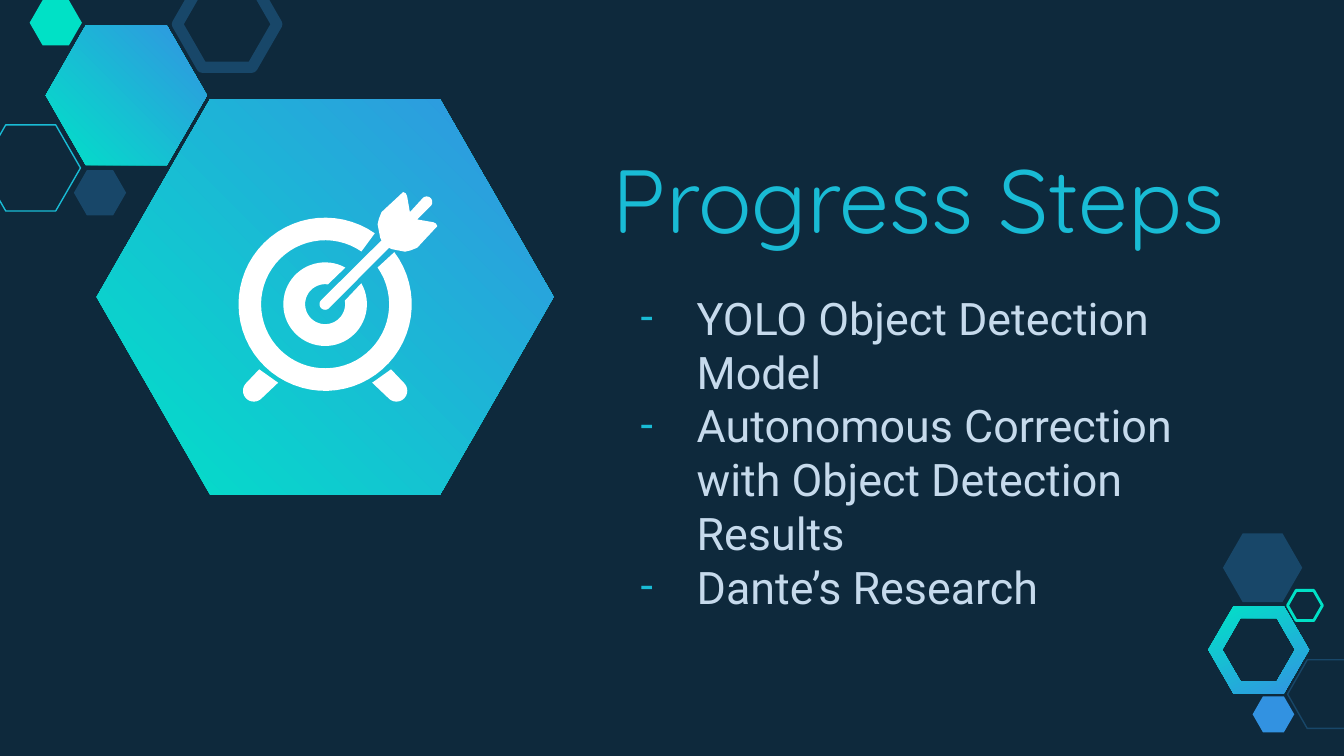
from math import cos, radians, sin

from lxml.etree import SubElement
from pptx import Presentation
from pptx.dml.color import RGBColor
from pptx.enum.shapes import MSO_SHAPE
from pptx.enum.text import MSO_ANCHOR, MSO_AUTO_SIZE, PP_ALIGN
from pptx.oxml.ns import qn
from pptx.util import Pt

TITLE = "Progress Steps"
STEPS = [
    "YOLO Object Detection Model",
    "Autonomous Correction with Object Detection Results",
    "Dante’s Research",
]

THEME = {
    "bg": "0E293C", "teal": "19BBD5", "navy": "184769", "mint": "00E1C6",
    "blue": "3292E1", "body": "C6DAEC", "icon": "FFFFFF",
    "gradient": ("00E2C7", "3393E2"),
    "title_font": "Quicksand", "title_size": 48,
    "body_font": "Roboto", "body_size": 24,
}

# centre x, centre y, width, colour, line width (None: filled)
HEXAGONS = [
    (16.5, 90, 53.3, "teal", 0.75),
    (53.6, 103.3, 28, "navy", None),
    (121.7, 13, 53.3, "navy", 6),
    (29.9, 12.2, 28, "mint", None),
    (711, 371.9, 42.5, "navy", 0.75),
    (682.2, 382.7, 22.3, "blue", None),
    (676.4, 304.2, 42.5, "navy", None),
    (699.1, 324.4, 18.7, "mint", 1.5),
]
GRADIENT_HEXAGONS = [(67.7, 51.1, 86.4), (174.2, 159.1, 244.8)]
HEX_RING = (674.3, 348.1, 54, 39)  # centre, outer width, inner width

TARGET = (174.2, 163)
# outer radius, inner radius, start and end angle of each arc
TARGET_RINGS = [
    (46.4, 34.3, (55, 397), (55.5, 395)),
    (22.4, 10.7, (61, 390), (82, 370)),
]
# One side of the fletching, from the target's centre
FLETCHING = [
    (30.2, -34.2), (29.5, -35.6), (28.1, -42.8), (28.8, -45.7), (30.2, -49.3),
    (40.3, -58.7), (41.8, -60.1), (43.2, -59.4), (43.9, -58), (45.4, -49.3),
]
HEX_RATIO = 0.866


def rgb(name):
    return RGBColor.from_string(THEME.get(name, name))


def paint(s, color=None, line=None, angle=None):
    """Fill with a colour or, given an angle, the gradient; outline if line is set."""
    s.shadow.inherit = False
    if line:
        s.fill.background()
        s.line.color.rgb = rgb(color)
        s.line.width = Pt(line)
        return
    s.line.fill.background()
    if angle is None:
        s.fill.solid()
        s.fill.fore_color.rgb = rgb(color)
        return
    s.fill.gradient()
    s.fill.gradient_angle = angle
    for stop, shade, pos in zip(s.fill.gradient_stops, THEME["gradient"], (0, 1)):
        stop.color.rgb = rgb(shade)
        stop.position = pos


def add_hexagon(shapes, cx, cy, w):
    h = w * HEX_RATIO
    s = shapes.add_shape(MSO_SHAPE.HEXAGON, Pt(cx - w / 2), Pt(cy - h / 2), Pt(w), Pt(h))
    s.adjustments[0] = 0.287
    return s


def arc(r, start, end, cx=0, cy=0, steps=60):
    """Points on a circle, angles counter-clockwise from the right."""
    angles = [radians(start + (end - start) * i / steps) for i in range(steps + 1)]
    return [(cx + r * cos(a), cy - r * sin(a)) for a in angles]


def add_outline(shapes, origin, *contours):
    """Closed outlines, in points from origin; a second one cuts a hole."""
    ox, oy = origin
    placed = [[(Pt(ox + x), Pt(oy + y)) for x, y in c] for c in contours]
    builder = shapes.build_freeform(*placed[0][0])
    for i, points in enumerate(placed):
        if i:
            builder.move_to(*points[0])
        builder.add_line_segments(points[1:], close=True)
    return builder.convert_to_shape()


def add_target(shapes):
    outlines = [arc(outer, *a) + arc(inner, *b)[::-1] for outer, inner, a, b in TARGET_RINGS]
    leg = [(-35.3, 34.9)] + arc(5.8, 135, 315, -38.2, 46.4) + [(-25.2, 42.1)]
    mirrored = [(-y, -x) for x, y in reversed(FLETCHING)]
    arrow = arc(3, -45, -225) + FLETCHING + arc(3, 135, -45, 54.4, -54.7) + mirrored
    outlines += [leg, [(-x, y) for x, y in leg], arrow]
    for points in outlines:
        paint(add_outline(shapes, TARGET, points), "icon")


def place(sp, left, top, width, height):
    sp.left, sp.top, sp.width, sp.height = Pt(left), Pt(top), Pt(width), Pt(height)
    tf = sp.text_frame
    tf.margin_left = tf.margin_right = tf.margin_top = tf.margin_bottom = Pt(7.2)
    tf.vertical_anchor = MSO_ANCHOR.TOP
    tf.auto_size = MSO_AUTO_SIZE.NONE
    tf.word_wrap = True
    return tf


def add_text(p, text, kind, color):
    p.alignment = PP_ALIGN.LEFT
    p.space_before = Pt(0)
    r = p.add_run()
    r.text = text
    r.font.name = THEME[kind + "_font"]
    r.font.size = Pt(THEME[kind + "_size"])
    r.font.color.rgb = rgb(color)


def add_dash(p):
    pPr = p._p.get_or_add_pPr()
    pPr.set("marL", str(Pt(36)))
    pPr.set("indent", str(-Pt(30)))
    SubElement(SubElement(pPr, qn("a:buClr")), qn("a:srgbClr"), val=THEME["teal"])
    SubElement(pPr, qn("a:buFont"), typeface=THEME["body_font"])
    SubElement(pPr, qn("a:buChar"), char="-")


def main():
    prs = Presentation()
    prs.slide_width, prs.slide_height = Pt(720), Pt(405)
    slide = prs.slides.add_slide(prs.slide_layouts[0])
    slide.background.fill.solid()
    slide.background.fill.fore_color.rgb = rgb("bg")
    shapes = slide.shapes

    cx, cy, *widths = HEX_RING
    contours = [arc(w / 2, 0, 300, steps=5) for w in widths]
    paint(add_outline(shapes, (cx, cy), *contours), angle=296)
    for *spot, color, line in HEXAGONS:
        paint(add_hexagon(shapes, *spot), color, line)
    for spot in GRADIENT_HEXAGONS:
        paint(add_hexagon(shapes, *spot), angle=45)
    add_target(shapes)

    tf = place(shapes.title, 321, 70, 393, 91.5)
    add_text(tf.paragraphs[0], TITLE, "title", "teal")
    tf = place(slide.placeholders[1], 330, 148.5, 341, 211.5)
    for i, step in enumerate(STEPS):
        p = tf.add_paragraph() if i else tf.paragraphs[0]
        add_dash(p)
        add_text(p, step, "body", "body")

    prs.save("out.pptx")


if __name__ == "__main__":
    main()
